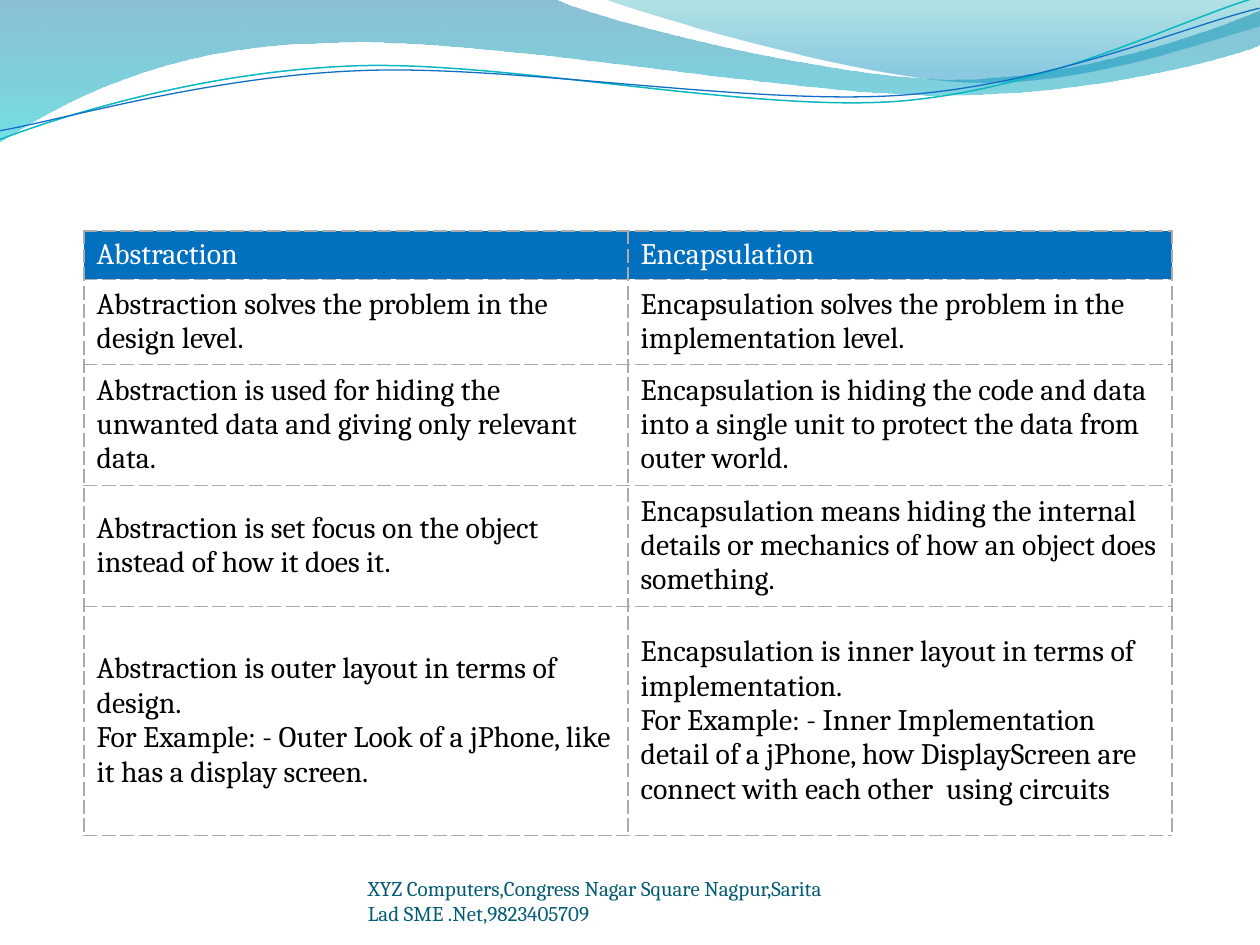
"""Build a slide that compares abstraction and encapsulation in a table under a wave header."""
from lxml.etree import SubElement
from pptx import Presentation
from pptx.dml.color import RGBColor
from pptx.enum.text import MSO_ANCHOR
from pptx.oxml import parse_xml
from pptx.oxml.ns import nsdecls, qn
from pptx.util import Emu, Pt

SCALE = 914400 / 126


def px(length):
    return Emu(round(length * SCALE))


def write_text(frame, text, size=17, color="000000", anchor=MSO_ANCHOR.MIDDLE):
    frame.word_wrap = True
    frame.vertical_anchor = anchor
    frame.text = text
    for paragraph in frame.paragraphs:
        for run in paragraph.runs:
            run.font.name = "Cambria"
            run.font.size = Pt(size)
            run.font.color.rgb = RGBColor.from_string(color)


presentation = Presentation()
presentation.slide_width = px(1260)
presentation.slide_height = px(945)
slide = presentation.slides.add_slide(presentation.slide_layouts[6])

waves = [
    {"box": (-1, -1, 1262, 143), "gradient": [(0, "0074A1", 45), (100, "00C6CF", 55)], "steps": [
        (0, 0), (554, -1), (600, 21, 837, 79, 955, 79), (1075, 79, 1207, 33, 1260, 11),
        (1261, 45), (1239, 55, 1096, 96, 940, 95), (784, 95, 481, 35, 324, 43),
        (163, 45, 58, 105, -1, 142)]},
    {"box": (604, -1, 656, 88), "gradient": [(0, "00A1A9", 30), (80, "008BBF", 45)], "steps": [
        (604, -1), (641, 14, 859, 78, 969, 82), (1079, 87, 1211, 40, 1260, 26), (1260, 0)]},
    {"box": (-3, 28, 1263, 89), "line": ("0AB8BF", 0.85), "steps": [
        (-3, 110), (58, 90, 200, 52, 350, 53), (499, 53, 745, 118, 896, 114),
        (1048, 109, 1184, 45, 1260, 27)]},
    {"box": (-3, 38, 1264, 73), "line": ("0F6FC6", 0.75), "steps": [
        (-2, 101), (57, 94, 207, 57, 357, 58), (509, 58, 750, 112, 902, 108),
        (1052, 104, 1188, 52, 1262, 38)]},
]

for wave in waves:
    left, top, width, height = wave["box"]
    right, bottom = left + width, top + height
    builder = slide.shapes.build_freeform(px(left), px(top), scale=1.0)
    builder.add_line_segments([(px(right), px(top)), (px(right), px(bottom)), (px(left), px(bottom))])
    shape = builder.convert_to_shape()
    shape.shadow.inherit = False
    outline = next(shape._element.iter(qn("a:path")))
    for segment in list(outline):
        outline.remove(segment)
    for index, step in enumerate(wave["steps"]):
        tag = "a:moveTo" if index == 0 else "a:lnTo" if len(step) == 2 else "a:cubicBezTo"
        segment = SubElement(outline, qn(tag))
        for x, y in zip(step[::2], step[1::2]):
            SubElement(segment, qn("a:pt"), x=str(px(x - left)), y=str(px(y - top)))
    if "gradient" in wave:
        SubElement(outline, qn("a:close"))
        shape.line.fill.background()
        shape.fill.gradient()
        shape.fill.gradient_angle = 270
        stop_list = shape._element.spPr.find(qn("a:gradFill")).find(qn("a:gsLst"))
        for stop in list(stop_list):
            stop_list.remove(stop)
        for position, color, opacity in wave["gradient"]:
            stop = SubElement(stop_list, qn("a:gs"), pos=str(position * 1000))
            stop_color = SubElement(stop, qn("a:srgbClr"), val=color)
            SubElement(stop_color, qn("a:alpha"), val=str(opacity * 1000))
    else:
        color, line_width = wave["line"]
        shape.rotation = 357.3
        shape.fill.background()
        shape.line.color.rgb = RGBColor.from_string(color)
        shape.line.width = Pt(line_width)

footer = slide.shapes.add_textbox(px(368), px(876), px(462), px(50)).text_frame
footer.margin_left = footer.margin_right = footer.margin_top = footer.margin_bottom = 0
write_text(footer, "XYZ Computers,Congress Nagar Square Nagpur,Sarita Lad SME .Net,9823405709",
           size=12, color="045D75", anchor=MSO_ANCHOR.BOTTOM)

comparison = [
    (48, "Abstraction", "Encapsulation"),
    (85, "Abstraction solves the problem in the design level.",
     "Encapsulation solves the problem in the implementation level."),
    (121, "Abstraction is used for hiding the unwanted data and giving only relevant data.",
     "Encapsulation is hiding the code and data into a single unit to protect the data from "
     "outer world."),
    (121, "Abstraction is set focus on the object instead of how it does it.",
     "Encapsulation means hiding the internal details or mechanics of how an object does "
     "something."),
    (229, "Abstraction is outer layout in terms of design.\n"
     "For Example: - Outer Look of a jPhone, like it has a display screen.",
     "Encapsulation is inner layout in terms of implementation.\n"
     "For Example: - Inner Implementation detail of a jPhone, how DisplayScreen are connect "
     "with each other  using circuits"),
]
table = slide.shapes.add_table(len(comparison), 2, px(84), px(231), px(1088), px(604)).table
for column in table.columns:
    column.width = px(544)
for row_index, (height, *texts) in enumerate(comparison):
    table.rows[row_index].height = px(height)
    text_color, fill_color = ("000000", "FFFFFF") if row_index else ("FFFFFF", "0270BF")
    for column_index, text in enumerate(texts):
        cell = table.cell(row_index, column_index)
        write_text(cell.text_frame, text, color=text_color)
        cell.vertical_anchor = MSO_ANCHOR.MIDDLE
        properties = cell._tc.get_or_add_tcPr()
        for side in "LRTB":
            properties.append(parse_xml(
                f'<a:ln{side} {nsdecls("a")} w="9525"><a:solidFill><a:srgbClr val="ABABAB"/>'
                f'</a:solidFill><a:prstDash val="dash"/></a:ln{side}>'))
        cell.fill.solid()
        cell.fill.fore_color.rgb = RGBColor.from_string(fill_color)

presentation.save("out.pptx")
